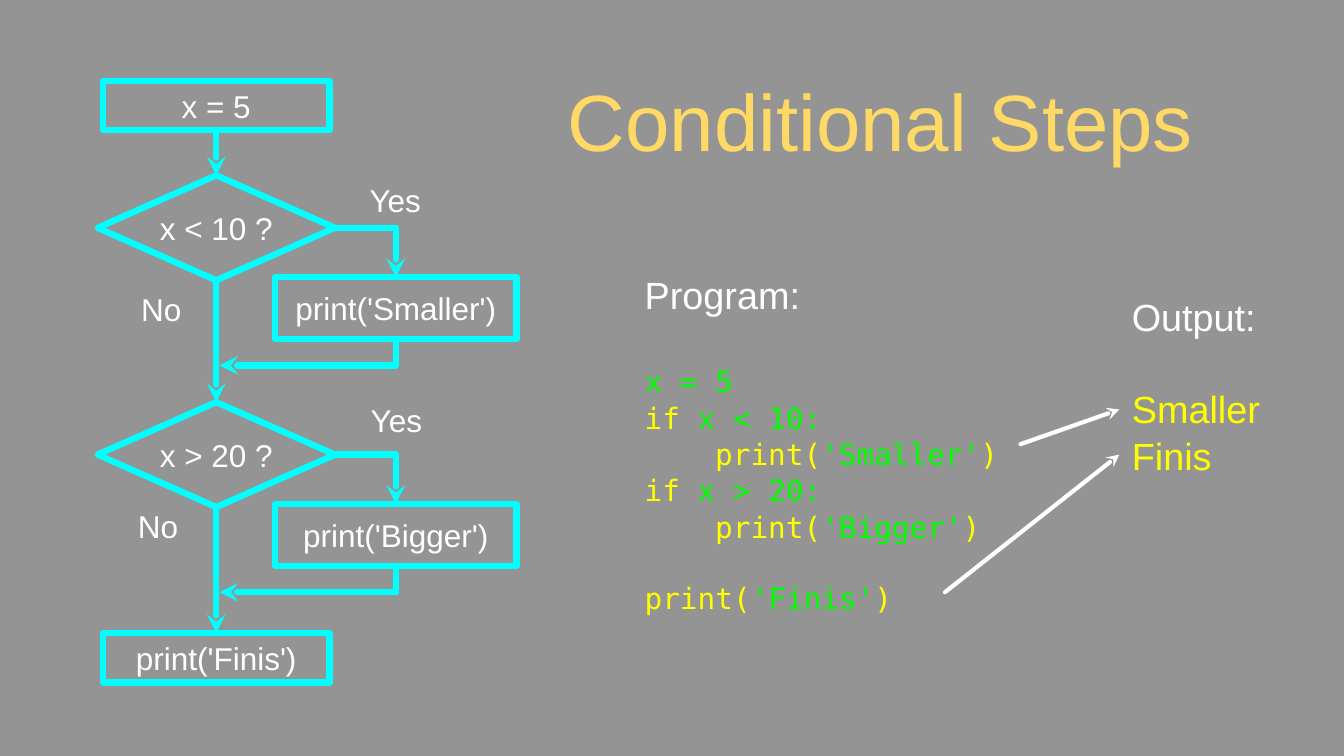
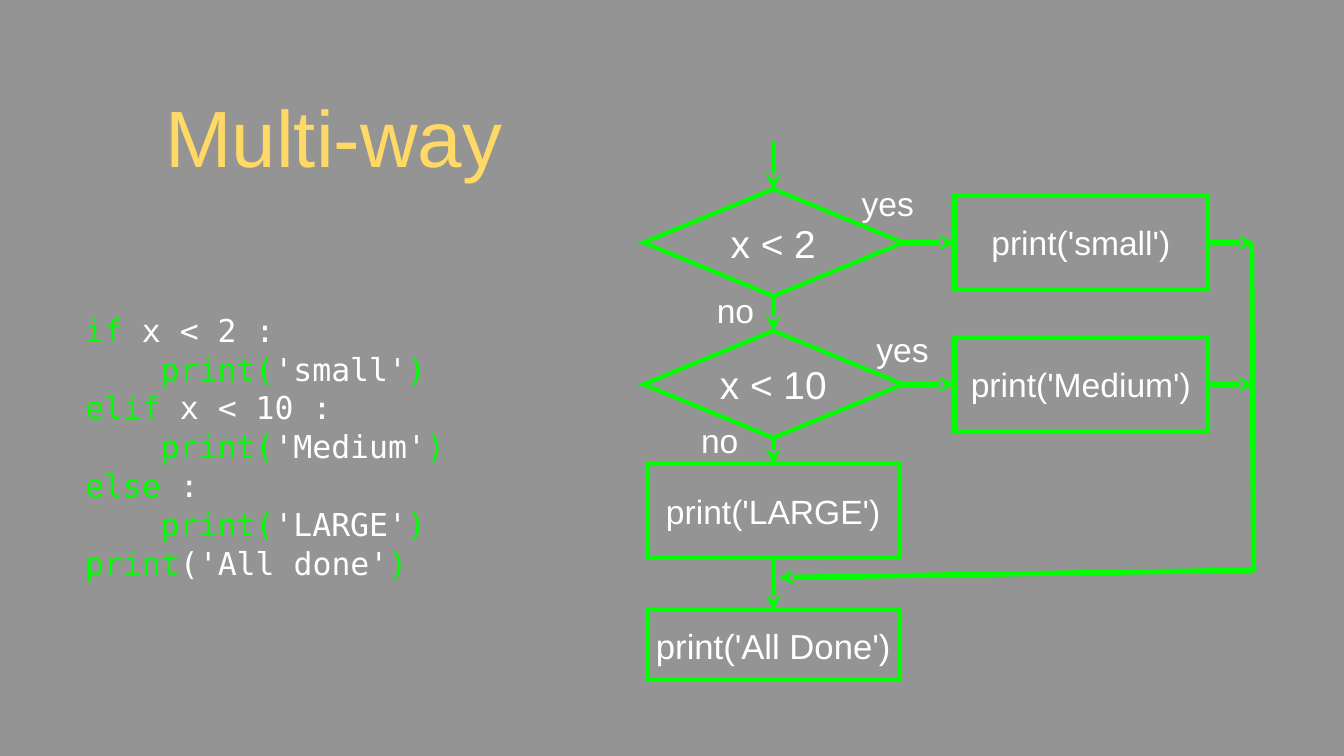
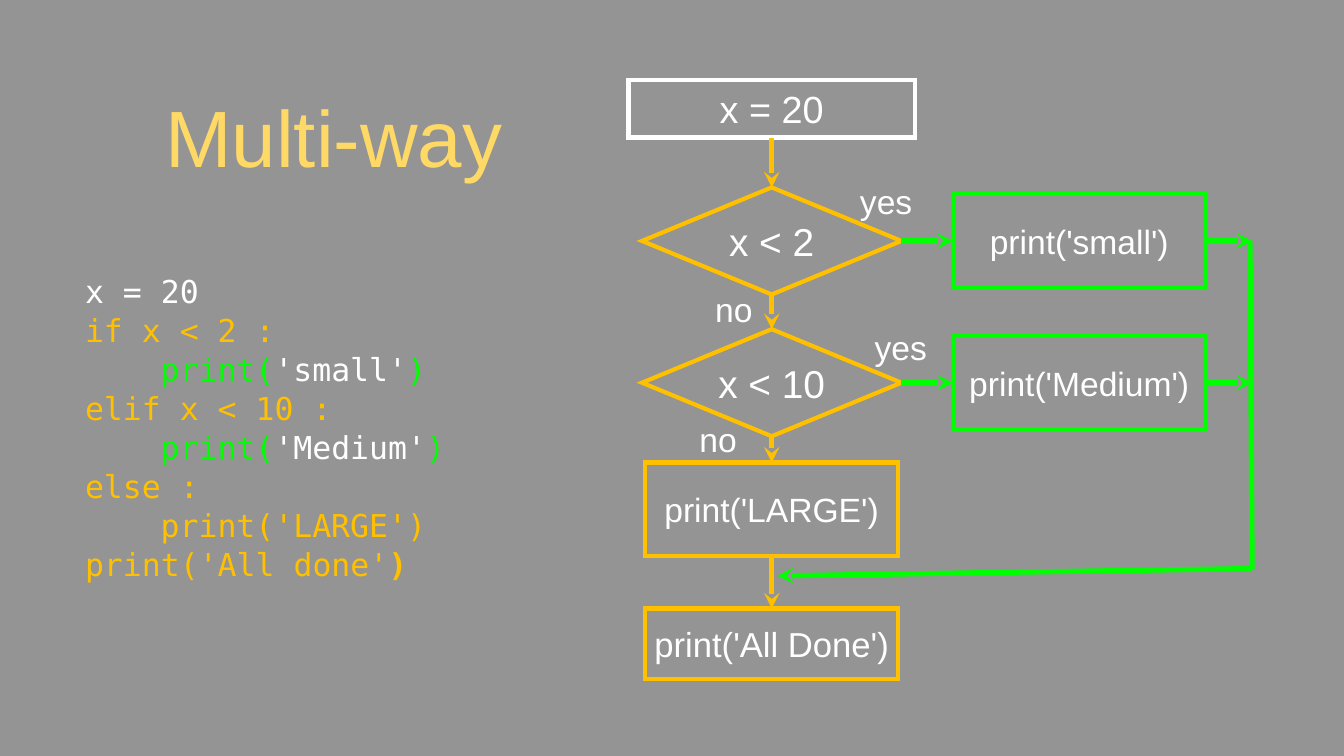
from dataclasses import dataclass

from lxml.etree import SubElement
from pptx import Presentation
from pptx.dml.color import RGBColor
from pptx.enum.shapes import MSO_CONNECTOR, MSO_SHAPE
from pptx.enum.text import MSO_ANCHOR, PP_ALIGN
from pptx.oxml.ns import qn
from pptx.util import Pt


@dataclass(frozen=True)
class Theme:
    # Colours
    background: str = "949494"
    title: str = "FFD966"
    white: str = "FFFFFF"
    cyan: str = "00FFFF"
    green: str = "00FF00"
    yellow: str = "FFFF00"
    amber: str = "FFC000"
    # Fonts and type sizes
    sans: str = "Arial"
    mono: str = "DejaVu Sans Mono"
    title_size: int = 76
    heading_size: int = 36
    step_size: int = 30
    test_size: int = 37
    branch_size: int = 32
    done_size: int = 33
    # Spacing as a share of the type size or line height
    leading: float = 1.03
    char_width: float = 0.6


T = Theme()
W, C, G, Y, A = T.white, T.cyan, T.green, T.yellow, T.amber


@dataclass
class Para:
    runs: list  # (text, colour) or (text, colour, bold)
    size: float
    font: str = T.sans
    align: PP_ALIGN = PP_ALIGN.LEFT
    before: float = 0
    indent: int = 0  # characters


def add_run(p, text, *, size, color, font=T.sans, bold=False):
    r = p.add_run()
    r.text = text
    r.font.size, r.font.name = Pt(size), font
    r.font.color.rgb = RGBColor.from_string(color)
    if bold:
        r.font.bold = True


def fill_frame(tf, paras, *, inset=0, top=0, wrap=True):
    tf.word_wrap = wrap
    tf.vertical_anchor = MSO_ANCHOR.MIDDLE
    tf.margin_left = tf.margin_right = tf.margin_bottom = Pt(inset)
    tf.margin_top = Pt(inset + top)
    for i, para in enumerate(paras):
        p = tf.add_paragraph() if i else tf.paragraphs[0]
        p.alignment = para.align
        if len(paras) > 1:
            p.line_spacing = T.leading
        if para.before:
            p.space_before = Pt(para.before)
        if para.indent:
            margin = Pt(para.indent * T.char_width * para.size)
            p._p.get_or_add_pPr().set("marL", str(margin))
        for text, color, *bold in para.runs:
            add_run(p, text, size=para.size, color=color, font=para.font,
                    bold=bool(bold))


def centred(text, size, color=W):
    return [Para([(text, color)], size, align=PP_ALIGN.CENTER)]


class Deck:
    """Holds the presentation, its shared style and the current slide."""

    def __init__(self):
        self.prs = Presentation()
        self.prs.slide_width, self.prs.slide_height = Pt(1280), Pt(720)
        fill = self.prs.slide_master.background.fill
        fill.solid()
        fill.fore_color.rgb = RGBColor.from_string(T.background)

    def slide(self, title, box, rounded=False):
        self.s = self.prs.slides.add_slide(self.prs.slide_layouts[5])
        self.rounded = rounded
        sp = self.s.shapes.title
        sp.left, sp.top, sp.width, sp.height = map(Pt, box)
        fill_frame(sp.text_frame, centred(title, T.title_size, T.title), inset=3)

    def text(self, box, paras, top=0):
        sp = self.s.shapes.add_textbox(*map(Pt, box))
        fill_frame(sp.text_frame, paras, top=top)

    def label(self, box, text, size):
        self.text(box, centred(text, size))

    def stroke(self, sp, color, width):
        sp.line.color.rgb = RGBColor.from_string(color)
        sp.line.width = Pt(width)
        ln = sp.line._get_or_add_ln()
        if self.rounded:
            ln.set("cap", "rnd")
            SubElement(ln, qn("a:round"))
        else:
            SubElement(ln, qn("a:miter"), lim="800000")
        return ln

    def node(self, kind, box, text, size, color, width):
        sp = self.s.shapes.add_shape(kind, *map(Pt, box))
        sp.shadow.inherit = False
        sp.fill.background()
        self.stroke(sp, color, width)
        fill_frame(sp.text_frame, centred(text, size), wrap=False)
        return sp

    def box(self, *args):
        return self.node(MSO_SHAPE.RECTANGLE, *args)

    def diamond(self, *args):
        return self.node(MSO_SHAPE.DIAMOND, *args)

    def line(self, start, end, color, width, arrow=True):
        """Each end is an (x, y) point or a (shape, site) pair."""
        joins = [hasattr(end_[0], "shape_id") for end_ in (start, end)]
        points = [(0, 0) if joined else end_
                  for joined, end_ in zip(joins, (start, end))]
        c = self.s.shapes.add_connector(
            MSO_CONNECTOR.STRAIGHT, *(Pt(v) for xy in points for v in xy))
        if joins[0]:
            c.begin_connect(*start)
        if joins[1]:
            c.end_connect(*end)
        ln = self.stroke(c, color, width)
        if arrow:
            SubElement(ln, qn("a:tailEnd"), type="stealth")
        SubElement(c._element.spPr, qn("a:effectLst"))


def code(*runs, size=30, indent=0, before=0):
    return Para(list(runs), size, T.mono, indent=indent, before=before)


def call(arg, name_color, arg_color, **kw):
    return code(("print(", name_color), (arg, arg_color), (")", name_color), **kw)


def conditional_steps(d):
    d.slide("Conditional Steps", (461, 60, 755, 107), rounded=True)

    # Program and its output
    gap = 43
    d.text((1078, 281, 125, 172), [
        Para([("Output:", W)], T.heading_size),
        Para([("Smaller", Y)], T.heading_size, before=gap),
        Para([("Finis", Y)], T.heading_size)])
    sz = 28
    d.text((614, 226, 357, 392), [
        Para([("Program:", W)], T.heading_size),
        code(("x = 5", G), size=sz, before=gap),
        code(("if ", Y), ("x < 10:", G), size=sz),
        call("'Smaller'", Y, G, size=sz, indent=4),
        code(("if ", Y), ("x > 20:", G), size=sz),
        call("'Bigger'", Y, G, size=sz, indent=4),
        call("'Finis'", Y, G, size=sz, before=33.5)])
    d.line((972, 423), (1066, 390), W, 4)
    d.line((900, 564), (1066, 433), W, 4)

    # Flowchart: two tests, each with a side branch that rejoins the stem
    style = (T.step_size, C, 6)
    last = d.box((98, 77, 216, 47), "x = 5", *style)
    tests = [("x < 10 ?", "print('Smaller')", (348, 166, 57, 49), (125, 267, 57, 55)),
             ("x > 20 ?", "print('Bigger')", (349, 375, 57, 49), (122, 480, 57, 42))]
    for i, (test, action, yes, no) in enumerate(tests):
        y = 167 + 216 * i
        dia = d.diamond((93, y, 226, 100), test, *style)
        branch = d.box((262, y + 97, 230, 59), action, *style)
        d.line((last, 2), (dia, 0), C, 6)
        d.line((dia, 3), (377, y + 50), C, 6, arrow=False)
        d.line((377, y + 50), (branch, 0), C, 6)
        d.line((branch, 2), (377, y + 181), C, 6, arrow=False)
        d.line((377, y + 181), (209, y + 181), C, 6)
        d.label(yes, "Yes", T.step_size)
        d.label(no, "No", T.step_size)
        last = dia
    finis = d.box((98, 603, 216, 47), "print('Finis')", *style)
    d.line((last, 2), (finis, 0), C, 6)


def multi_way(d, program, main, shift=0, top=0, start=None):
    """Code on the left, flowchart on the right; main colours the stem."""
    d.slide("Multi-way", (91, 59, 454, 141))
    d.text((81, 231, 402, 351), program, top=top)

    def at(x, y, *size):
        return (x - shift, y - shift, *size)

    # Tests with their branches
    last = start and d.box((598.5, 76, 273, 55), start, T.heading_size, W, 4)
    entry = (last, 2) if last else at(736.5, 135)
    tests = [("x < 2", "print('small')", (818, 173.5, 55, 39), (682, 276, 37, 39)),
             ("x < 10", "print('Medium')", (829, 313, 61, 39), (667, 400, 37, 39))]
    for i, (test, action, yes, no) in enumerate(tests):
        y = 231 + 135 * i
        dia = d.diamond(at(613, y - 51, 247, 102), test, T.test_size, main, 4)
        branch = d.box(at(909, y - 44.5, 241, 89), action, T.branch_size, G, 4)
        d.line(entry, (dia, 0), main, 5)
        d.line((dia, 3), (branch, 1), G, 5)
        d.line((branch, 3), at(1194, y), G, 5)
        d.label(at(*yes), "yes", T.branch_size)
        d.label(at(*no), "no", T.branch_size)
        entry = (dia, 2)

    # Last branch and the way back to the stem
    large = d.box(at(616, 442, 241, 89), "print('LARGE')", T.branch_size, main, 4)
    done = d.box(at(616, 581, 241, 67), "print('All Done')", T.done_size, main, 4)
    d.line(entry, (large, 0), main, 5)
    d.line((large, 2), (done, 0), main, 5)
    d.line(at(1192, 232), at(1194, 544), G, 5, arrow=False)
    d.line(at(1193, 543), at(742, 550), G, 5)


def main():
    d = Deck()
    conditional_steps(d)
    small = call("'small'", G, W, indent=4)
    medium = call("'Medium'", G, W, indent=4)
    multi_way(d, [
        code(("if", G), (" x < 2 :", W)),
        small,
        code(("elif", G), (" x < 10 :", W)),
        medium,
        code(("else", G), (" :", W)),
        call("'LARGE'", G, W, indent=4),
        code(("print", G), ("('All done'", W), (")", G)),
    ], main=G, top=36)
    multi_way(d, [
        code(("x = 20", W)),
        code(("if x < 2 :", A)),
        small,
        code(("elif x < 10 :", A)),
        medium,
        code(("else :", A)),
        code(("print('LARGE')", A), indent=4),
        code(("print('All done'", A), (")", A, True)),
    ], main=A, shift=1.5, start="x = 20")
    d.prs.save("out.pptx")


if __name__ == "__main__":
    main()
